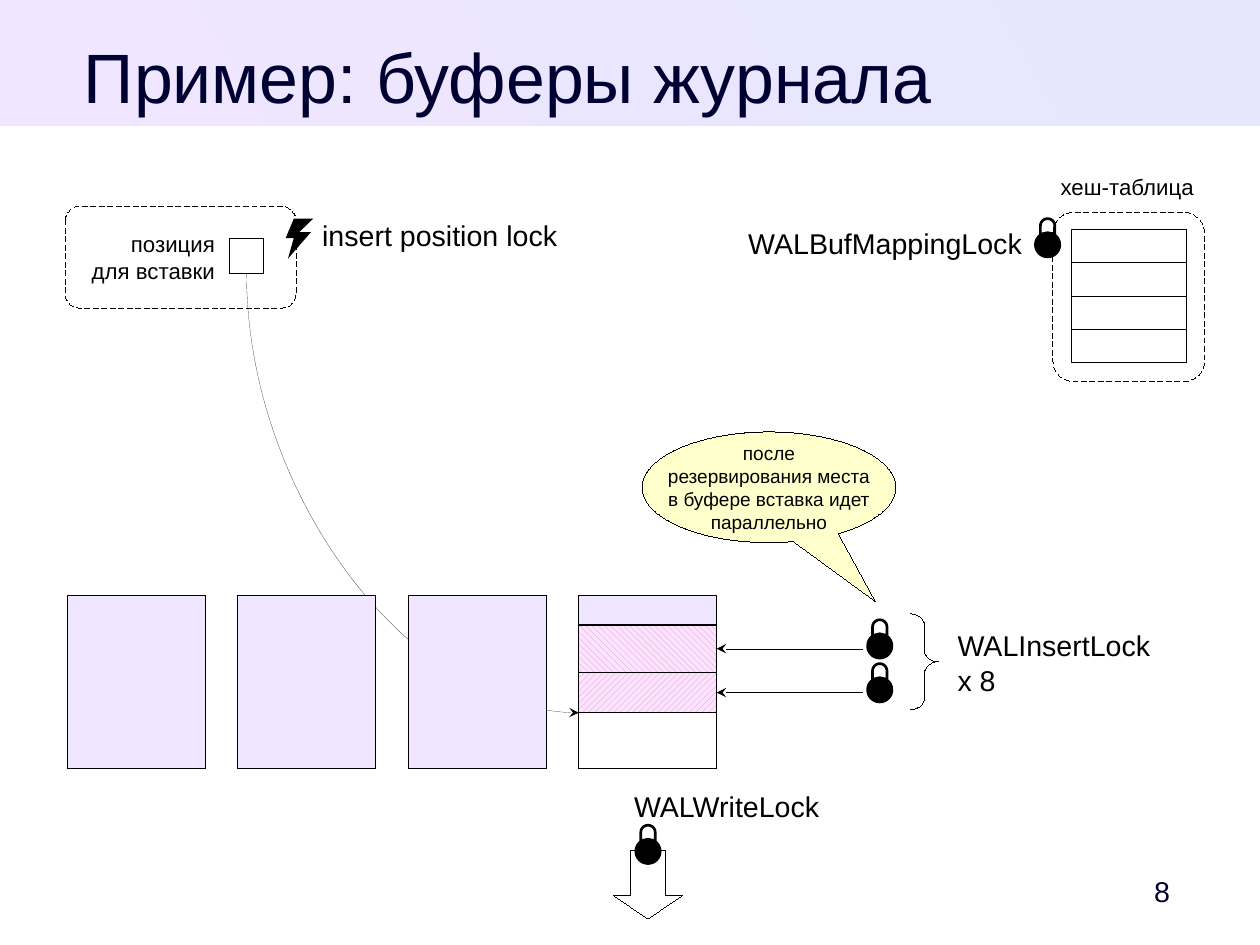
import math

import pptx
import pptx.dml.color
import pptx.enum.dml
import pptx.enum.shapes
import pptx.enum.text
import pptx.oxml
import pptx.oxml.ns
import pptx.util
from lxml import etree

Cm = pptx.util.Cm
Pt = pptx.util.Pt
RGB = pptx.dml.color.RGBColor
SHAPE = pptx.enum.shapes.MSO_SHAPE
CONNECTOR = pptx.enum.shapes.MSO_CONNECTOR
ALIGN = pptx.enum.text.PP_ALIGN
ANCHOR = pptx.enum.text.MSO_ANCHOR
FIT = pptx.enum.text.MSO_AUTO_SIZE
PATTERN = pptx.enum.dml.MSO_PATTERN
DASH = pptx.enum.dml.MSO_LINE.DASH

BLACK = RGB(0x00, 0x00, 0x00)
WHITE = RGB(0xFF, 0xFF, 0xFF)
NAVY = RGB(0x00, 0x00, 0x33)
LILAC = RGB(0xF0, 0xE6, 0xFF)
PERIWINKLE = RGB(0xE6, 0xE6, 0xFF)
PINK = RGB(0xFF, 0xE1, 0xFF)
HATCH = RGB(0xB2, 0xB2, 0xB2)
CREAM = RGB(0xFF, 0xFF, 0xCC)


def apply(target, values):
    for name, value in values.items():
        setattr(target, name, value)


def write(shape, text, size, color=BLACK, align=ALIGN.LEFT, **frame_format):
    frame = shape.text_frame
    frame.text = text
    apply(frame, {"word_wrap": True, "auto_size": FIT.NONE,
                  "vertical_anchor": ANCHOR.TOP, **frame_format})
    for paragraph in frame.paragraphs:
        paragraph.alignment = align
        apply(paragraph.font, {"name": "Arial", "size": Pt(size)})
        paragraph.font.color.rgb = color


def label(slide, box, text, size=18, **text_format):
    write(slide.shapes.add_textbox(*map(Cm, box)), text, size, **text_format)


def hairline(line, dash=None):
    line.color.rgb = BLACK
    line.dash_style = dash
    stroke = line._get_or_add_ln()
    stroke.set("w", "0")
    return stroke


def paint(shape, fill=WHITE, outlined=True, dash=None):
    shape.shadow.inherit = False
    if fill is None:
        shape.fill.background()
    else:
        shape.fill.solid()
        shape.fill.fore_color.rgb = fill
    if outlined:
        hairline(shape.line, dash)
    else:
        shape.line.fill.background()


def figure(slide, kind, box, adjustments=(), **look):
    shape = slide.shapes.add_shape(kind, *map(Cm, box))
    for index, value in enumerate(adjustments):
        shape.adjustments[index] = value
    paint(shape, **look)
    return shape


def silhouette(slide, left, top, *contours):
    placed = [[(Cm(left + x), Cm(top + y)) for x, y in contour] for contour in contours]
    builder = slide.shapes.build_freeform(*placed[0][0], scale=1.0)
    for index, contour in enumerate(placed):
        if index:
            builder.move_to(*contour[0])
        builder.add_line_segments(contour[1:], close=True)
    paint(builder.convert_to_shape(), fill=BLACK, outlined=False)


def arc(x, y, radius, start, end, steps=24):
    angles = [math.radians(start + (end - start) * i / steps) for i in range(steps + 1)]
    return [(x + radius * math.cos(a), y + radius * math.sin(a)) for a in angles]


def lock(slide, left, top):
    body = arc(0.3, 0.61, 0.3, -50.7, 230.7)
    shackle = arc(0.3, 0.19, 0.19, 180, 360)
    opening = arc(0.3, 0.19, 0.13, 180, 360) + [(0.43, 0.34), (0.3, 0.31), (0.17, 0.34)]
    silhouette(slide, left, top, body + shackle, opening)


def arrow(slide, kind, start, end):
    link = slide.shapes.add_connector(kind, *map(Cm, start + end))
    tail = etree.SubElement(hairline(link.line), pptx.oxml.ns.qn("a:tailEnd"))
    tail.set("type", "stealth")
    etree.SubElement(link._element.spPr, pptx.oxml.ns.qn("a:effectLst"))
    return link


def quarter_turn_arrow(slide, start, end):
    middle_x, middle_y = (start[0] + end[0]) / 2, (start[1] + end[1]) / 2
    half_w, half_h = (end[1] - start[1]) / 2, (end[0] - start[0]) / 2
    link = arrow(slide, CONNECTOR.CURVE,
                 (middle_x + half_w, middle_y - half_h),
                 (middle_x - half_w, middle_y + half_h))
    properties = link._element.spPr
    properties.find(pptx.oxml.ns.qn("a:prstGeom")).set("prst", "curvedConnector2")
    properties.find(pptx.oxml.ns.qn("a:xfrm")).set("rot", str(270 * 60000))


def header(slide, width, height):
    band = figure(slide, SHAPE.RECTANGLE, (0, 0, width, height), outlined=False)
    band.fill.gradient()
    band.fill.gradient_angle = 210
    for stop, color in zip(band.fill.gradient_stops, (PERIWINKLE, LILAC)):
        stop.color.rgb = color
    margins = dict.fromkeys(("margin_left", "margin_top", "margin_right", "margin_bottom"), 0)
    label(slide, (1.19, 0.74, 20.2, 1.73), "Пример: буферы журнала", 44, color=NAVY,
          align=ALIGN.CENTER, **margins)


def page_number(slide, box, number):
    label(slide, box, number, color=NAVY, align=ALIGN.RIGHT,
          vertical_anchor=ANCHOR.MIDDLE, margin_right=0)


def insert_position(slide, left, top, target):
    figure(slide, SHAPE.ROUNDED_RECTANGLE, (left, top, 5.13, 2.27), [0.144], dash=DASH)
    label(slide, (left + 0.08, top + 0.41, 3.5, 1.37), "позиция\nдля вставки", 14,
          align=ALIGN.RIGHT)
    cursor_left, cursor_top, side = left + 3.65, top + 0.73, 0.76
    figure(slide, SHAPE.RECTANGLE, (cursor_left, cursor_top, side, side))
    bolt = [(0, 0.43), (0.18, 0), (0.61, 0), (0.3, 0.3), (0.56, 0.3), (0.05, 0.89), (0.18, 0.43)]
    silhouette(slide, left + 4.9, top + 0.28, bolt)
    label(slide, (left + 5.46, top + 0.13, 6.5, 0.97), "insert position lock")
    quarter_turn_arrow(slide, (cursor_left + side / 2, cursor_top + side), target)


def hash_table(slide, left, top):
    figure(slide, SHAPE.ROUNDED_RECTANGLE, (left, top, 3.37, 3.76), [0.135], dash=DASH)
    label(slide, (left - 0.08, top - 0.99, 4, 0.81), "хеш-таблица", 14)
    row_height = 0.74
    for row in range(4):
        figure(slide, SHAPE.RECTANGLE,
               (left + 0.42, top + 0.38 + row * row_height, 2.54, row_height))
    lock(slide, left - 0.42, top + 0.11)
    label(slide, (left - 7.44, top + 0.18, 7, 0.97), "WALBufMappingLock", align=ALIGN.RIGHT)


def buffers(slide, left, top, pitch):
    width, height = 3.07, 3.84
    for index in range(3):
        figure(slide, SHAPE.RECTANGLE, (left + index * pitch, top, width, height), fill=LILAC)
    current = left + 3 * pitch
    slots = [(0.66, LILAC, None),
             (1.05, PINK, PATTERN.WIDE_DOWNWARD_DIAGONAL),
             (0.9, PINK, PATTERN.WIDE_UPWARD_DIAGONAL),
             (1.23, WHITE, None)]
    for slot_height, color, pattern in slots:
        slot = figure(slide, SHAPE.RECTANGLE, (current, top, width, slot_height), fill=color)
        if pattern:
            slot.fill.patterned()
            slot.fill.pattern = pattern
            slot.fill.fore_color.rgb = HATCH
            slot.fill.back_color.rgb = color
            middle = top + slot_height / 2
            arrow(slide, CONNECTOR.STRAIGHT, (19.18, middle), (current + width, middle))
            lock(slide, 19.25, middle - 0.67)
        top += slot_height


def insert_locks(slide, left, top):
    figure(slide, SHAPE.RIGHT_BRACE, (left, top, 0.61, 2.13), [0.43, 0.5], fill=None)
    label(slide, (left + 0.79, top + 0.2, 5.5, 1.68), "WALInsertLock\nx 8")
    note = figure(slide, SHAPE.OVAL_CALLOUT, (left - 5.97, top - 4.04, 5.64, 2.46),
                  [0.42, 1.032], fill=CREAM)
    write(note, "после\nрезервирования места\nв буфере вставка идет\nпараллельно", 12,
          align=ALIGN.CENTER, vertical_anchor=ANCHOR.MIDDLE, word_wrap=False)


def write_lock(slide, left, top):
    label(slide, (left + 0.2, top, 5.2, 0.97), "WALWriteLock")
    figure(slide, SHAPE.DOWN_ARROW, (left, top + 1.5, 1.52, 1.52), [0.503, 0.339])
    lock(slide, left + 0.46, top + 0.91)


def main():
    deck = pptx.Presentation()
    apply(deck, {"slide_width": Cm(28), "slide_height": Cm(21)})
    slide = deck.slides.add_slide(deck.slide_layouts[6])
    header(slide, 28, 2.8)
    page_number(slide, (23.78, 19.2, 2.22, 1.2), "8")
    insert_position(slide, 1.45, 4.58, target=(12.86, 15.84))
    hash_table(slide, 23.4, 4.72)
    buffers(slide, 1.49, 13.23, pitch=3.79)
    insert_locks(slide, 20.24, 13.64)
    write_lock(slide, 13.64, 17.4)
    deck.save("out.pptx")


if __name__ == "__main__":
    main()
